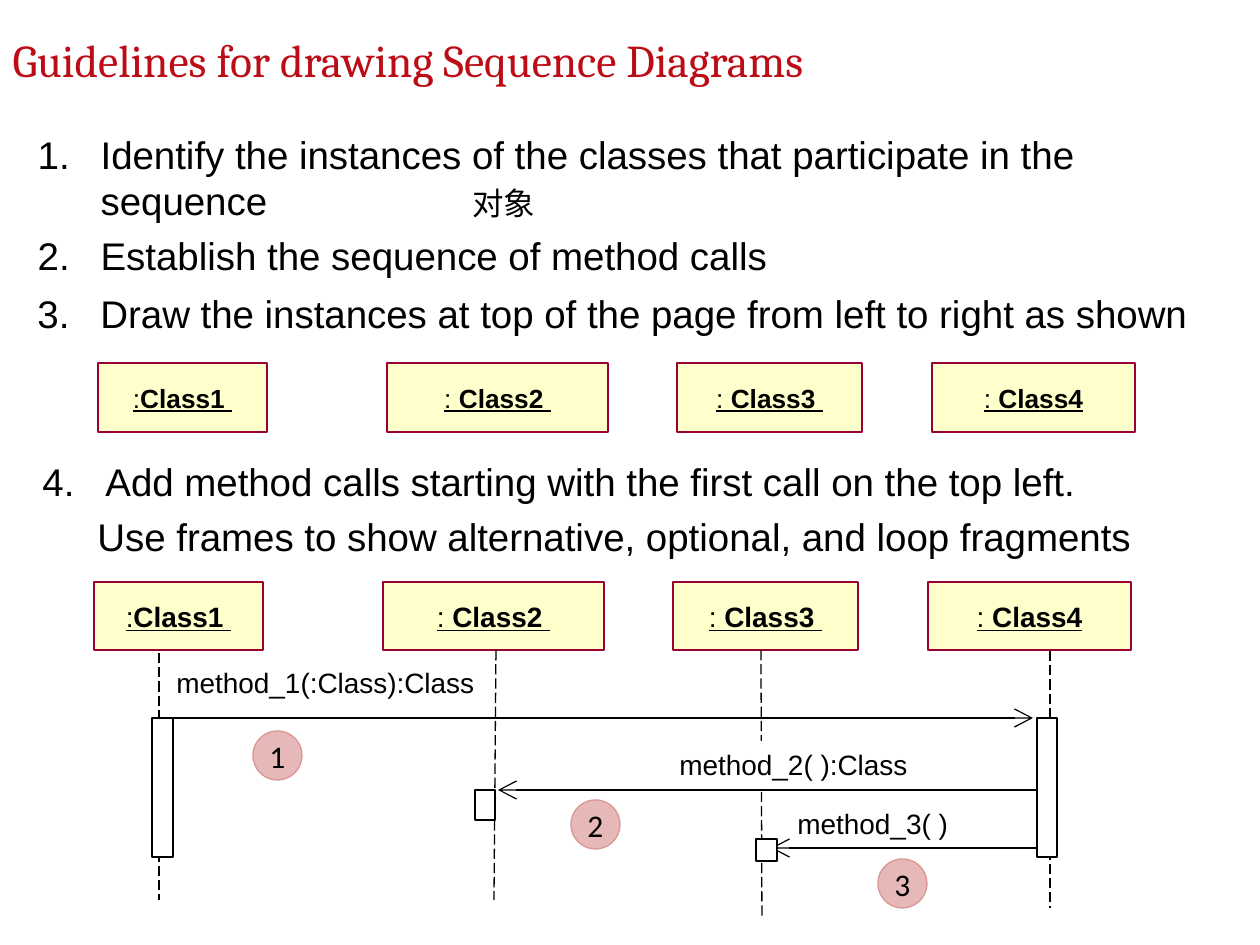
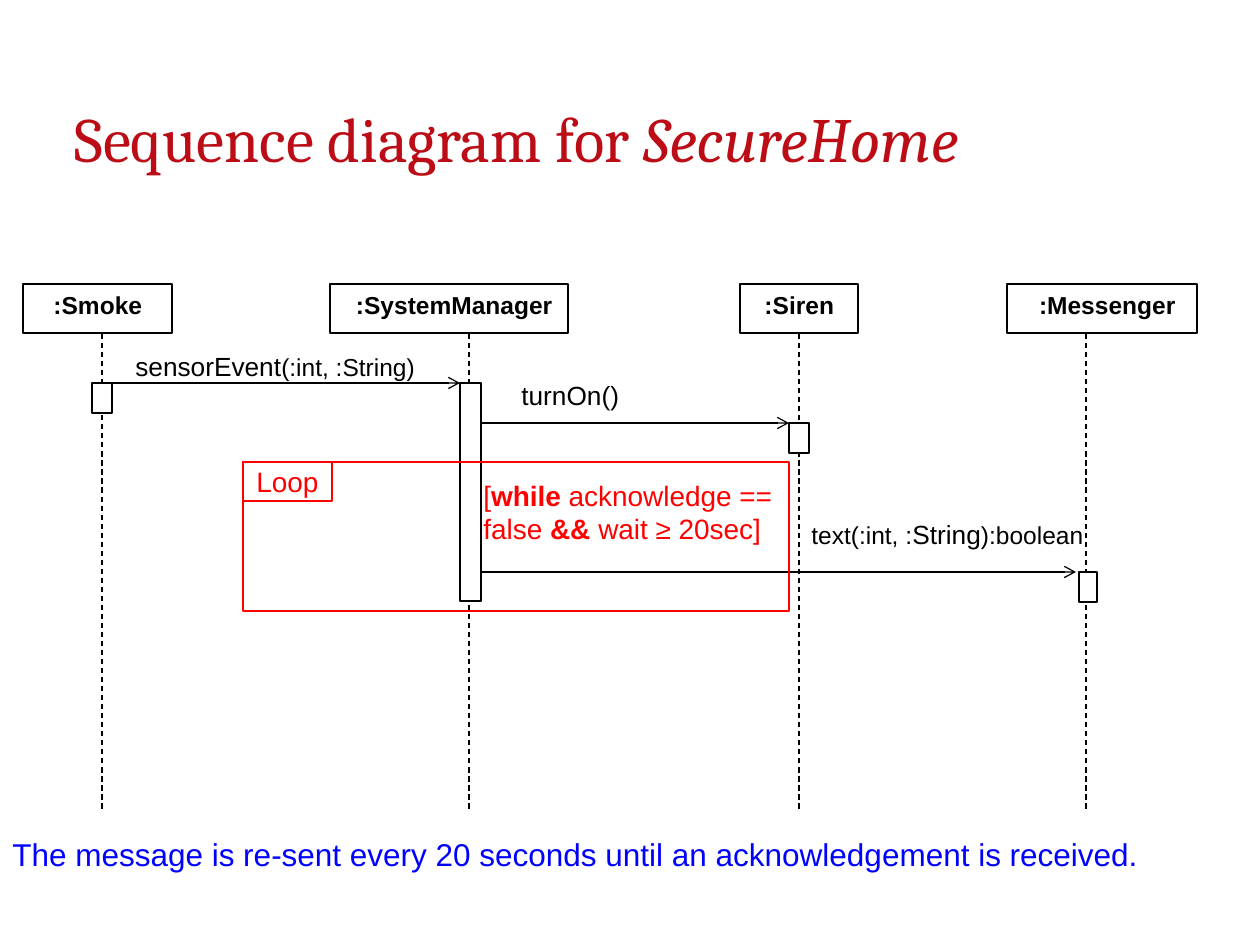
from lxml.etree import SubElement
from pptx import Presentation
from pptx.dml.color import RGBColor
from pptx.enum.dml import MSO_LINE
from pptx.enum.shapes import MSO_CONNECTOR, MSO_SHAPE
from pptx.enum.text import MSO_ANCHOR, MSO_AUTO_SIZE, PP_ALIGN
from pptx.oxml.ns import qn
from pptx.util import Emu, Pt

PX_PER_INCH = 126
TITLE_ONLY, TITLE_AND_BODY = 5, 1
COLORS = {
    "title": "BC0D16",
    "text": "000000",
    "paper": "FFFFFF",
    "class_fill": "FFFFCC",
    "class_line": "990033",
    "badge_fill": "E6B9B8",
    "badge_line": "D99694",
    "loop": "FF0000",
    "note": "0000FF",
}
BOLD = {"bold": True}
GUIDELINE_SIZE = 22
INDENT = 63


def px(length):
    return Emu(round(length * 914400 / PX_PER_INCH))


def color(name):
    return RGBColor.from_string(COLORS[name])


def place(shape, box):
    for name, length in zip(("left", "top", "width", "height"), box):
        setattr(shape, name, px(length))


def add_runs(paragraph, runs, size, color_name="text", font="Arial"):
    """Write a string, or (text, format) pairs that override the base format."""
    if isinstance(runs, str):
        runs = [(runs, {})]
    for text, overrides in runs:
        run = paragraph.add_run()
        run.text = text
        formats = {"name": font, "size": Pt(size), **overrides}
        for name, value in formats.items():
            setattr(run.font, name, value)
        run.font.color.rgb = color(color_name)


def set_frame(shape, anchor=MSO_ANCHOR.TOP, wrap=True):
    frame = shape.text_frame
    formats = {"auto_size": MSO_AUTO_SIZE.NONE, "word_wrap": wrap, "vertical_anchor": anchor}
    for name, value in formats.items():
        setattr(frame, name, value)
    return frame


def set_title(slide, box, runs, size):
    title = slide.shapes.title
    place(title, box)
    paragraph = set_frame(title).paragraphs[0]
    paragraph.alignment = PP_ALIGN.LEFT
    add_runs(paragraph, runs, size, "title", "Cambria")


def add_text(slide, box, runs, size, color_name="text", font="Arial",
             fill=None, anchor=MSO_ANCHOR.TOP):
    shape = slide.shapes.add_textbox(*map(px, box))
    if fill:
        shape.fill.solid()
        shape.fill.fore_color.rgb = color(fill)
    add_runs(set_frame(shape, anchor).paragraphs[0], runs, size, color_name, font)


def add_box(slide, box, fill=None, line="text", kind=MSO_SHAPE.RECTANGLE):
    shape = slide.shapes.add_shape(kind, *map(px, box))
    shape.shadow.inherit = False
    if fill:
        shape.fill.solid()
        shape.fill.fore_color.rgb = color(fill)
    else:
        shape.fill.background()
    shape.line.color.rgb = color(line)
    shape.line.width = Pt(0.75)
    return shape


def add_label(shape, runs, size, color_name="text", font="Arial", anchor=MSO_ANCHOR.MIDDLE):
    """Write one centred line inside a shape."""
    paragraph = set_frame(shape, anchor, wrap=False).paragraphs[0]
    paragraph.alignment = PP_ALIGN.CENTER
    add_runs(paragraph, runs, size, color_name, font)


def add_activation(slide, box):
    add_box(slide, box, "paper")


def add_line(slide, start, end):
    line = slide.shapes.add_connector(MSO_CONNECTOR.STRAIGHT, *map(px, start + end))
    line.line.color.rgb = color("text")
    line.line.width = Pt(0.75)
    SubElement(line._element.spPr, qn("a:effectLst"))
    return line


def add_lifeline(slide, start, end, dash):
    add_line(slide, start, end).line.dash_style = dash


def add_message(slide, start, end, head_size="med"):
    line = add_line(slide, start, end).line
    SubElement(line._get_or_add_ln(), qn("a:tailEnd"), type="arrow", w=head_size, len=head_size)


def add_guideline(paragraph, text, number=None, indent=INDENT):
    """Write a guideline; with a number it hangs from an automatic one."""
    paragraph.space_before = Pt(5)
    properties = paragraph._p.get_or_add_pPr()
    properties.set("marL", str(px(indent)))
    properties.set("indent", str(px(-indent if number else 0)))
    if number:
        SubElement(properties, qn("a:buAutoNum"), type="arabicPeriod", startAt=str(number))
    else:
        SubElement(properties, qn("a:buNone"))
    add_runs(paragraph, text, GUIDELINE_SIZE)


def fill_guidelines(shape, guidelines):
    shape.fill.solid()
    shape.fill.fore_color.rgb = color("paper")
    frame = set_frame(shape)
    for index, guideline in enumerate(guidelines):
        paragraph = frame.add_paragraph() if index else frame.paragraphs[0]
        add_guideline(paragraph, *guideline)


def add_class_row(slide, shift, top, height, size):
    classes = [
        (98, 169, ":", "Class1 "),
        (387, 221, ": ", "Class2 "),
        (677, 185, ": ", "Class3 "),
        (932, 203, ": ", "Class4"),
    ]
    for left, width, colon, name in classes:
        box = add_box(slide, (left + shift, top, width, height), "class_fill", "class_line")
        runs = [(colon, {"underline": True}), (name, {"underline": True, **BOLD})]
        add_label(box, runs, size)


def build_guidelines(presentation):
    slide = presentation.slides.add_slide(presentation.slide_layouts[TITLE_AND_BODY])
    set_title(slide, (0, 26, 1260, 82), "Guidelines for drawing Sequence Diagrams", 26)

    body = slide.placeholders[1]
    place(body, (25, 125, 1230, 169))
    fill_guidelines(body, [
        ("Identify the instances of the classes that participate in the sequence", 1),
        ("Establish the sequence of method calls", 1),
    ])
    later_guidelines = [
        ((25, 284, 1230, 69),
         [("Draw the instances at top of the page from left to right as shown", 3)]),
        ((30, 452, 1230, 118),
         [("Add method calls starting with the first call on the top left.", 4),
          ("Use frames to show alternative, optional, and loop fragments", None, 55)]),
    ]
    for box, guidelines in later_guidelines:
        fill_guidelines(slide.shapes.add_textbox(*map(px, box)), guidelines)

    add_class_row(slide, 0, 363, 69, 15)
    add_class_row(slide, -4, 582, 68, 16)

    lifelines = [
        ((159, 653), (159, 900)),
        ((496, 650), (494, 900)),
        ((761, 650), (762, 919)),
        ((1050, 651), (1050, 908)),
    ]
    for start, end in lifelines:
        add_lifeline(slide, start, end, MSO_LINE.LONG_DASH)

    calls = [
        ("method_1(:Class):Class", (164, 659, 328, 47), (165, 718), (1033, 718), (253, 731)),
        ("method_2( ):Class", (667, 741, 314, 47), (1043, 790), (498, 790), (571, 800)),
        ("method_3( )", (785, 800, 178, 47), (1038, 848), (771, 848), (878, 859)),
    ]
    for number, (text, label_box, start, end, badge_corner) in enumerate(calls, 1):
        add_text(slide, label_box, text, 16, fill="paper")
        add_message(slide, start, end, "lg")
        badge = add_box(slide, badge_corner + (49, 49), "badge_fill", "badge_line", MSO_SHAPE.OVAL)
        add_label(badge, str(number), 18, font="Calibri")

    for box in [(152, 718, 21, 139), (475, 790, 20, 30), (756, 839, 21, 22), (1037, 718, 20, 139)]:
        add_activation(slide, box)
    add_text(slide, (460, 178, 160, 50), "对象", 18, font="Calibri")


def build_home_sequence(presentation):
    slide = presentation.slides.add_slide(presentation.slide_layouts[TITLE_ONLY])
    set_title(slide, (62, 93, 1135, 82),
              [("Sequence diagram for ", {}), ("SecureHome", {"italic": True})], 36)

    participants = [
        (":Smoke", 23, 149, 13, 102, (92, 383, 20, 30)),
        (":SystemManager", 330, 238, 23, 469, (460, 383, 21, 218)),
        (":Siren", 740, 118, 13, 799, (789, 423, 20, 30)),
        (":Messenger", 1007, 190, 23, 1086, (1079, 572, 18, 30)),
    ]
    for name, left, width, left_margin, lifeline, activation in participants:
        box = add_box(slide, (left, 284, width, 49))
        add_label(box, [(name, BOLD)], 14, anchor=MSO_ANCHOR.TOP)
        box.text_frame.margin_left = px(left_margin)
        add_lifeline(slide, (lifeline, 334), (lifeline, 810), MSO_LINE.DASH)
        add_activation(slide, activation)

    larger = {"size": Pt(15)}
    messages = [
        ((112, 383), (460, 383), (123, 344, 315, 44),
         [("sensorEvent", larger), ("(:int, :String)", {})]),
        ((481, 423), (789, 423), (509, 373, 141, 44), [("turnOn()", larger)]),
        ((481, 572), (1076, 572), (799, 512, 318, 44),
         [("text(:int, :", {}), ("String", larger), ("):boolean", {})]),
    ]
    for start, end, label_box, runs in messages:
        add_message(slide, start, end)
        add_text(slide, label_box, runs, 14)

    add_box(slide, (243, 462, 546, 149), line="loop")
    add_label(add_box(slide, (243, 462, 89, 39), line="loop"), "Loop", 16, "loop")
    condition = [
        ("[", {}),
        ("while", BOLD),
        (" acknowledge == false ", {}),
        ("&& ", BOLD),
        ("wait ≥ 20sec]", {}),
    ]
    add_text(slide, (471, 462, 318, 100), condition, 16, "loop", anchor=MSO_ANCHOR.MIDDLE)
    add_text(slide, (0, 829, 1160, 50),
             "The message is re-sent every 20 seconds until an acknowledgement is received.",
             18, "note")


def main():
    presentation = Presentation()
    presentation.slide_width = px(1260)
    presentation.slide_height = px(945)
    build_guidelines(presentation)
    build_home_sequence(presentation)
    presentation.save("out.pptx")


if __name__ == "__main__":
    main()
